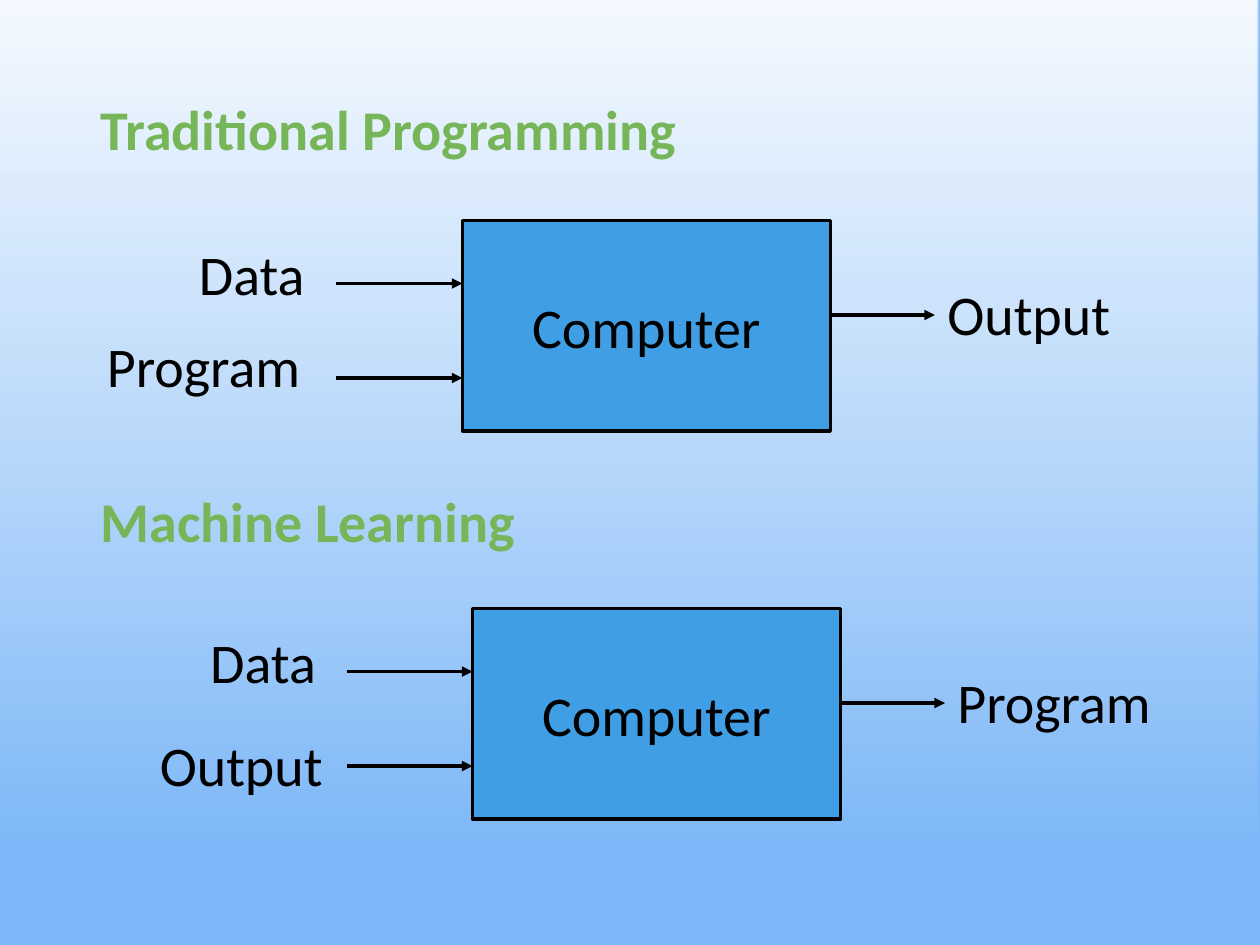
import pptx
import pptx.dml.color
import pptx.enum.dml
import pptx.enum.shapes
import pptx.enum.text
import pptx.oxml
import pptx.oxml.ns
import pptx.util
from pptx.util import Inches

COLORS = {
    "sky": "7CB7F8",
    "white": "FFFFFF",
    "heading": "77B559",
    "computer": "3F9EE4",
    "ink": "000000",
}
LABEL_FONT = {"name": "Calibri", "size": pptx.util.Pt(32), "bold": False}
HEADING_FONT = {**LABEL_FONT, "bold": True}
LABEL_HEIGHT = Inches(0.63)
COMPUTER_SIZE = (Inches(2.92), Inches(1.67))
LABEL_WIDTHS = {"Data": Inches(1.14), "Program": Inches(1.9), "Output": Inches(1.53)}


def rgb(key):
    return pptx.dml.color.RGBColor.from_string(COLORS[key])


def write(shape, text, font, color, wrap=False):
    frame = shape.text_frame
    frame.word_wrap = wrap
    paragraph = frame.paragraphs[0]
    run = paragraph.add_run()
    run.text = text
    for attribute, value in font.items():
        setattr(run.font, attribute, value)
    run.font.color.rgb = rgb(color)
    return paragraph


def outline(line):
    line.color.rgb = rgb("ink")
    line.width = pptx.util.Pt(2)


def add_background(slide):
    slide.background.fill.solid()
    slide.background.fill.fore_color.rgb = rgb("sky")
    glow = slide.shapes.add_shape(
        pptx.enum.shapes.MSO_SHAPE.RECTANGLE,
        Inches(-0.01), 0, Inches(10), Inches(6.88))
    glow.shadow.inherit = False
    glow.line.fill.background()
    glow.fill.gradient()
    glow.fill.gradient_angle = 90
    stops = glow.fill.gradient_stops
    for stop, color, position in zip(stops, ("sky", "white"), (0.01, 1)):
        stop.color.rgb = rgb(color)
        stop.position = position
    # The white end is slightly transparent
    white = glow.fill._xPr.findall(".//" + pptx.oxml.ns.qn("a:srgbClr"))[-1]
    alpha = pptx.oxml.parse_xml(
        f'<a:alpha {pptx.oxml.ns.nsdecls("a")} val="92000"/>')
    white.append(alpha)


def add_heading(slide, left, top, text):
    heading = slide.shapes.add_textbox(left, top, Inches(8.8), LABEL_HEIGHT)
    write(heading, text, HEADING_FONT, "heading", wrap=True)


def add_label(slide, left, top, text):
    label = slide.shapes.add_textbox(left, top, LABEL_WIDTHS[text], LABEL_HEIGHT)
    label.text_frame.auto_size = pptx.enum.text.MSO_AUTO_SIZE.SHAPE_TO_FIT_TEXT
    write(label, text, LABEL_FONT, "ink")


def add_arrow(slide, left, y, length):
    arrow = slide.shapes.add_connector(
        pptx.enum.shapes.MSO_CONNECTOR.STRAIGHT, left, y, left + length, y)
    outline(arrow.line)
    namespace = pptx.oxml.ns.nsdecls("a")
    arrow.line._get_or_add_ln().append(
        pptx.oxml.parse_xml(f'<a:tailEnd {namespace} type="triangle"/>'))
    arrow._element.spPr.append(pptx.oxml.parse_xml(f"<a:effectLst {namespace}/>"))


def add_process(slide, left, top, inputs, output):
    """Draw a computer at (left, top) with its inputs and its output."""
    width, height = COMPUTER_SIZE
    computer = slide.shapes.add_shape(
        pptx.enum.shapes.MSO_SHAPE.RECTANGLE, left, top, width, height)
    computer.shadow.inherit = False
    computer.fill.solid()
    computer.fill.fore_color.rgb = rgb("computer")
    outline(computer.line)
    computer.text_frame.vertical_anchor = pptx.enum.text.MSO_ANCHOR.MIDDLE
    name = write(computer, "Computer", LABEL_FONT, "ink")
    name.alignment = pptx.enum.text.PP_ALIGN.CENTER

    # Inputs: label offsets are measured from the computer's corner
    for row, (text, dx, dy) in enumerate(inputs):
        add_arrow(slide, left - Inches(1), top + Inches(0.5 + 0.75 * row), Inches(1))
        add_label(slide, left + Inches(dx), top + Inches(dy), text)

    # Output
    reach = Inches(0.83)
    add_arrow(slide, left + width, top + Inches(0.75), reach)
    add_label(slide, left + width + reach, top + Inches(0.42), output)


def main():
    presentation = pptx.Presentation()
    presentation.slide_width = Inches(10)
    presentation.slide_height = Inches(7.5)
    slide = presentation.slides.add_slide(presentation.slide_layouts[6])

    add_background(slide)

    add_heading(slide, Inches(0.7), Inches(0.7), "Traditional Programming")
    add_process(slide, Inches(3.67), Inches(1.75),
                [("Data", -2.19, 0.1), ("Program", -2.92, 0.83)], "Output")

    add_heading(slide, Inches(0.7), Inches(3.81), "Machine Learning")
    add_process(slide, Inches(3.75), Inches(4.83),
                [("Data", -2.18, 0.1), ("Output", -2.58, 0.92)], "Program")

    presentation.save("out.pptx")


if __name__ == "__main__":
    main()
